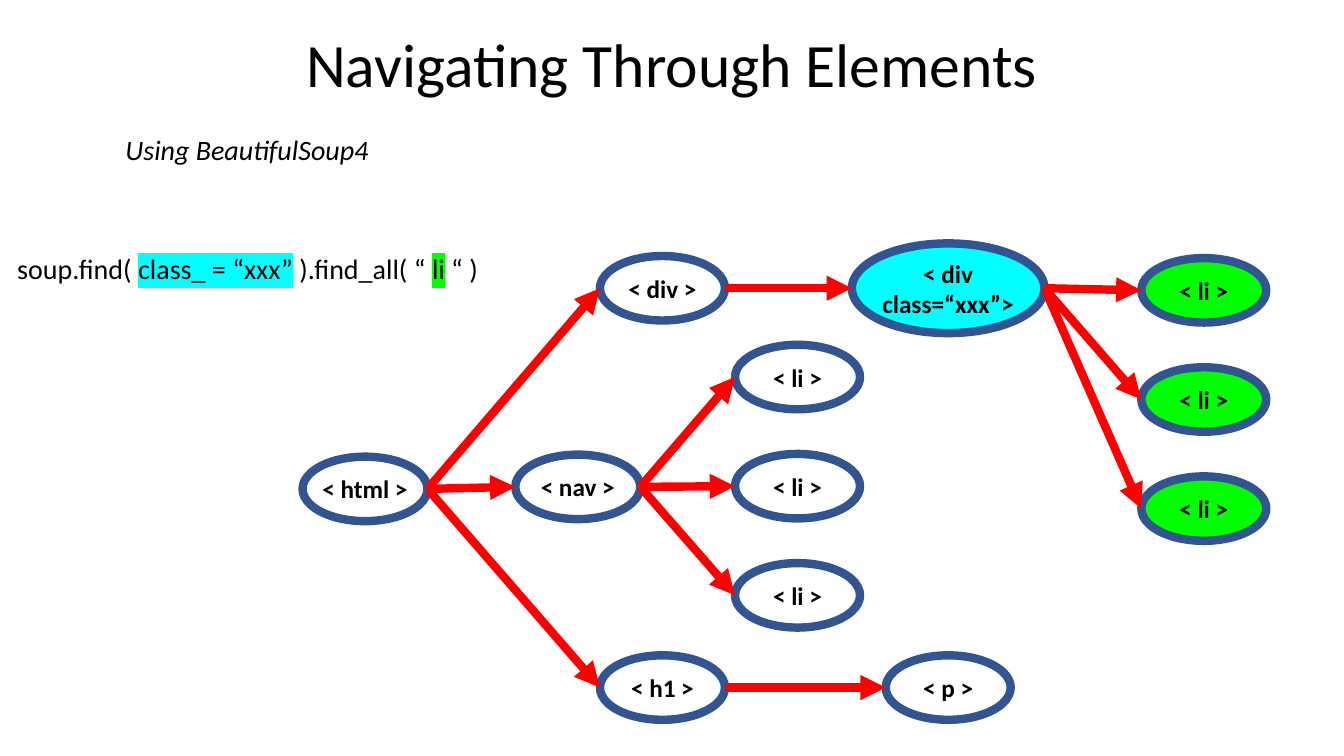
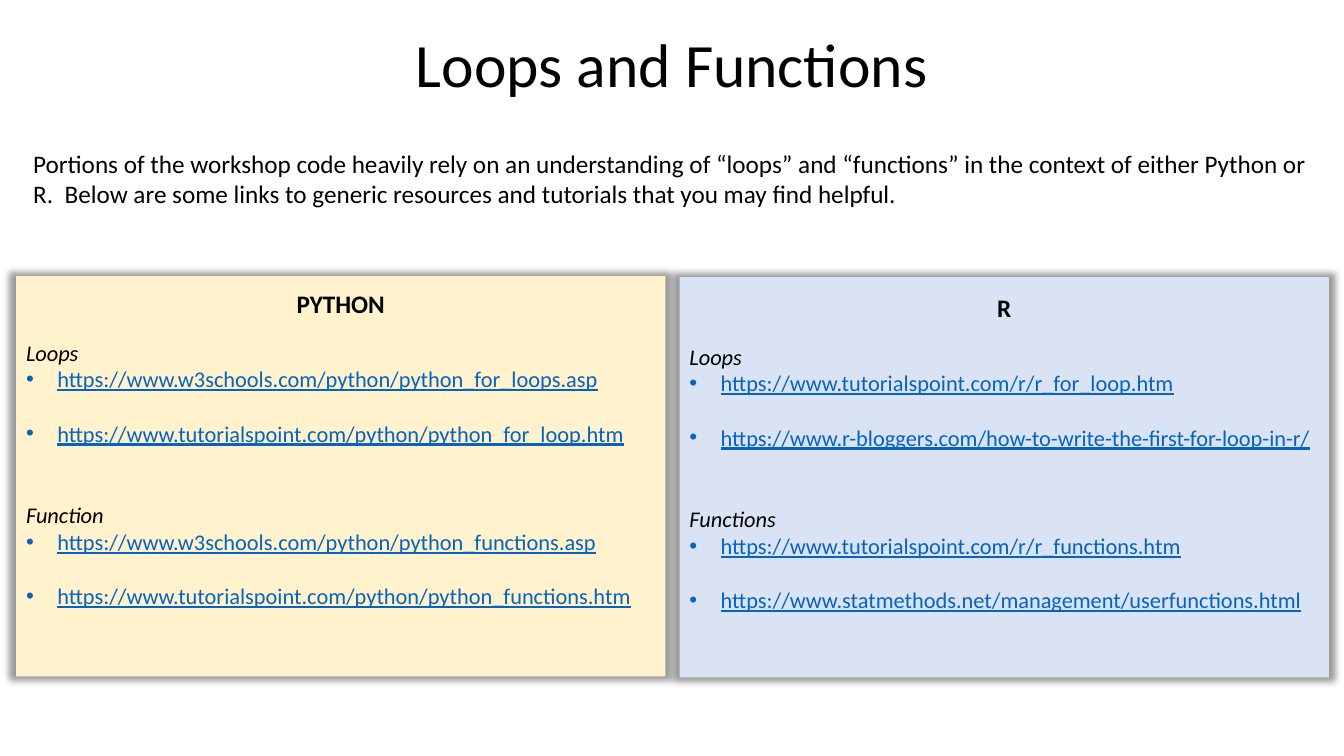
"""Build two workshop slides: an element tree and a page of loop and function links."""
from dataclasses import dataclass
from typing import Any, Optional

from lxml import etree
from pptx import Presentation
from pptx.dml.color import RGBColor
from pptx.enum.shapes import MSO_CONNECTOR, MSO_SHAPE
from pptx.enum.text import MSO_ANCHOR, PP_ALIGN
from pptx.oxml.ns import qn
from pptx.util import Inches, Pt

STRAIGHT = MSO_CONNECTOR.STRAIGHT
OVAL, RECT = MSO_SHAPE.OVAL, MSO_SHAPE.RECTANGLE
TOP, MIDDLE = MSO_ANCHOR.TOP, MSO_ANCHOR.MIDDLE
LEFT, CENTER = PP_ALIGN.LEFT, PP_ALIGN.CENTER

BLACK = RGBColor(0x00, 0x00, 0x00)
NAVY = RGBColor(0x32, 0x54, 0x91)
RED = RGBColor(0xFF, 0x00, 0x00)
CYAN = RGBColor(0x00, 0xFF, 0xFF)
GREEN = RGBColor(0x00, 0xFF, 0x00)
LINK_BLUE = RGBColor(0x05, 0x63, 0xC1)
CREAM = RGBColor(0xFF, 0xF2, 0xCC)
PALE_BLUE = RGBColor(0xDA, 0xE3, 0xF3)

SLIDE_W, SLIDE_H = Inches(13.33), Inches(7.5)
FONT = "Calibri"
STROKE = Pt(6)
BLANK_LINE = 19.5
INDENT = Inches(0.31)

TITLE = {"size": Pt(44)}
CODE = {"size": Pt(20)}
SUBTITLE = {"size": Pt(20), "italic": True}
BODY = {"size": Pt(18)}
BOLD = {"size": Pt(18), "bold": True}
TOPIC = {"size": Pt(16), "italic": True}
LINK = {"size": Pt(16), "underline": True}

NODE_W, NODE_H = 9.3, 8.53
LI_PITCH = 14.44
PANEL_LEFT, PANEL_W, PANEL_STEP, PANEL_H = 1.2, 48.31, 49.36, 52.93


@dataclass(frozen=True)
class Node:
    """An element of the tree, centred at shares (percent) of the slide."""
    label: str
    cx: float
    cy: float
    fill: Optional[RGBColor] = None
    w: float = NODE_W
    h: float = NODE_H


@dataclass(frozen=True)
class Panel:
    """A column of links, with its tops in percent of the slide height."""
    column: int
    heading: str
    fill: RGBColor
    top: float
    heading_top: float
    topics: tuple[tuple[str, tuple[str, str]], ...]


HTML = Node("< html >", 27.16, 64.67)
NAV = Node("< nav >", 42.99, 64.4)
DIV = Node("< div >", 49.29, 38.13)
H1 = Node("< h1 >", 49.29, 90.95)
CLASS_DIV = Node("< div class=“xxx”>", 70.55, 38.13, CYAN, 14.33, 11.87)
P_NODE = Node("< p >", 70.55, 90.95)
NAV_ITEMS = [Node("< li >", 59.34, 49.87 + i * LI_PITCH) for i in range(3)]
FOUND_ITEMS = [Node("< li >", 89.57, 38.4 + i * LI_PITCH, GREEN) for i in range(3)]

TREE = [
    (HTML, [DIV, NAV, H1]),
    (NAV, NAV_ITEMS),
    (DIV, [CLASS_DIV]),
    (H1, [P_NODE]),
    (CLASS_DIV, FOUND_ITEMS),
]

PANELS = [
    Panel(1, "R", PALE_BLUE, 36.67, 38.0, (
        ("Loops", ("https://www.tutorialspoint.com/r/r_for_loop.htm",
                   "https://www.r-bloggers.com/how-to-write-the-first-for-loop-in-r/")),
        ("Functions", ("https://www.tutorialspoint.com/r/r_functions.htm",
                       "https://www.statmethods.net/management/userfunctions.html")),
    )),
    Panel(0, "PYTHON", CREAM, 36.53, 37.47, (
        ("Loops", ("https://www.w3schools.com/python/python_for_loops.asp",
                   "https://www.tutorialspoint.com/python/python_for_loop.htm")),
        ("Function", ("https://www.w3schools.com/python/python_functions.asp",
                      "https://www.tutorialspoint.com/python/python_functions.htm")),
    )),
]


def px(share: float) -> int:
    """Turn a percentage of the slide width into a length."""
    return round(SLIDE_W * share / 100)


def py(share: float) -> int:
    """Turn a percentage of the slide height into a length."""
    return round(SLIDE_H * share / 100)


def add_run(p: Any, text: str, style: dict, color: RGBColor = BLACK,
            highlight: Optional[RGBColor] = None) -> None:
    """Add a formatted run, with an optional highlight."""
    r = p.add_run()
    r.text = text
    for name, value in {"name": FONT, **style}.items():
        setattr(r.font, name, value)
    r.font.color.rgb = color
    if highlight is not None:
        mark = etree.Element(qn("a:highlight"))
        etree.SubElement(mark, qn("a:srgbClr"), val=str(highlight))
        r.font._element.find(qn("a:solidFill")).addnext(mark)


def add_box(s: Any, x: float, y: float, w: float, h: float,
            anchor: MSO_ANCHOR = TOP) -> Any:
    """Add a wrapping text box and return its text frame."""
    tf = s.shapes.add_textbox(px(x), py(y), px(w), py(h)).text_frame
    tf.word_wrap = True
    tf.vertical_anchor = anchor
    return tf


def add_text(s: Any, box: tuple[float, float, float, float], text: str, style: dict,
             align: PP_ALIGN = CENTER, anchor: MSO_ANCHOR = TOP) -> None:
    """Add a text box that holds one paragraph in one style."""
    p = add_box(s, *box, anchor).paragraphs[0]
    p.alignment = align
    add_run(p, text, style)


def add_slide(prs: Any, title: str) -> Any:
    """Add a blank slide with the shared title."""
    s = prs.slides.add_slide(prs.slide_layouts[6])
    add_text(s, (0, 0, 100, 16.67), title, TITLE, anchor=MIDDLE)
    return s


def add_node(s: Any, node: Node) -> None:
    """Draw one element as a labelled ellipse."""
    sp = s.shapes.add_shape(OVAL, px(node.cx - node.w / 2), py(node.cy - node.h / 2),
                            px(node.w), py(node.h))
    sp.shadow.inherit = False
    if node.fill is None:
        sp.fill.background()
    else:
        sp.fill.solid()
        sp.fill.fore_color.rgb = node.fill
    sp.line.color.rgb = NAVY
    sp.line.width = STROKE
    tf = sp.text_frame
    tf.word_wrap = True
    tf.vertical_anchor = MIDDLE
    for side in ("left", "top", "right", "bottom"):
        setattr(tf, f"margin_{side}", 0)
    p = tf.paragraphs[0]
    p.alignment = CENTER
    add_run(p, node.label, BOLD)


def add_arrow(s: Any, parent: Node, child: Node) -> None:
    """Draw an arrow from the right of the parent to the left of the child."""
    line = s.shapes.add_connector(STRAIGHT, px(parent.cx + parent.w / 2), py(parent.cy),
                                  px(child.cx - child.w / 2), py(child.cy))
    line.line.color.rgb = RED
    line.line.width = STROKE
    sp_pr = line._element.spPr
    etree.SubElement(sp_pr.find(qn("a:ln")), qn("a:tailEnd"), type="triangle")
    etree.SubElement(sp_pr, qn("a:effectLst"))


def add_glow_shadow(sp: Any) -> None:
    """Give a shape a soft shadow on all sides."""
    sp.shadow.inherit = False
    effects = sp._element.spPr.find(qn("a:effectLst"))
    shadow = etree.SubElement(effects, qn("a:outerShdw"), blurRad=str(Pt(5)), sx="102000",
                              sy="102000", algn="ctr", rotWithShape="0")
    color = etree.SubElement(shadow, qn("a:srgbClr"), val=str(BLACK))
    etree.SubElement(color, qn("a:alpha"), val="40000")


def add_bullet(p: Any) -> None:
    """Give a paragraph a hanging round bullet."""
    p_pr = p._p.get_or_add_pPr()
    p_pr.set("marL", str(INDENT))
    p_pr.set("indent", str(-INDENT))
    etree.SubElement(p_pr, qn("a:buFont"), typeface="Arial")
    etree.SubElement(p_pr, qn("a:buChar"), char="•")


def add_panel(s: Any, panel: Panel) -> None:
    """Draw a shaded panel with its heading and grouped links."""
    x = PANEL_LEFT + panel.column * PANEL_STEP
    sp = s.shapes.add_shape(RECT, px(x), py(panel.top), px(PANEL_W), py(PANEL_H))
    sp.fill.solid()
    sp.fill.fore_color.rgb = panel.fill
    sp.line.fill.background()
    add_glow_shadow(sp)
    add_text(s, (x, panel.heading_top, PANEL_W, 5.33), panel.heading, BOLD)
    tf = add_box(s, x, panel.heading_top + 6.67, PANEL_W, 37.2)
    for i, (topic, links) in enumerate(panel.topics):
        p = tf.add_paragraph() if i else tf.paragraphs[0]
        p.space_before = Pt(2 * BLANK_LINE * i)
        add_run(p, topic, TOPIC)
        for j, link in enumerate(links):
            p = tf.add_paragraph()
            p.space_before = Pt(BLANK_LINE * j)
            add_bullet(p)
            add_run(p, link, LINK, LINK_BLUE)


def build_tree_slide(prs: Any) -> None:
    """Build the slide on navigating the element tree."""
    s = add_slide(prs, "Navigating Through Elements")
    add_text(s, (1.73, 16.93, 33.31, 5.87), "Using BeautifulSoup4", SUBTITLE)
    p = add_box(s, 0, 32.67, 36.83, 5.87).paragraphs[0]
    p.alignment = CENTER
    for text, highlight in (("soup.find( ", None), ("class_ = “xxx”", CYAN),
                            (" ).find_all( “ ", None), ("li", GREEN), (" “ )", None)):
        add_run(p, text, CODE, highlight=highlight)
    add_node(s, HTML)
    for _, children in TREE:
        for child in children:
            add_node(s, child)
    for parent, children in TREE:
        for child in children:
            add_arrow(s, parent, child)


def build_links_slide(prs: Any) -> None:
    """Build the slide of links on loops and functions."""
    s = add_slide(prs, "Loops and Functions")
    add_text(s, (1.73, 18.93, 96.55, 9.47),
             "Portions of the workshop code heavily rely on an understanding of “loops” and "
             "“functions” in the context of either Python or R.  Below are some links to "
             "generic resources and tutorials that you may find helpful.", BODY, LEFT)
    for panel in PANELS:
        add_panel(s, panel)


def main() -> None:
    """Build and save the presentation."""
    prs = Presentation()
    prs.slide_width, prs.slide_height = SLIDE_W, SLIDE_H
    build_tree_slide(prs)
    build_links_slide(prs)
    prs.save("out.pptx")


if __name__ == "__main__":
    main()
